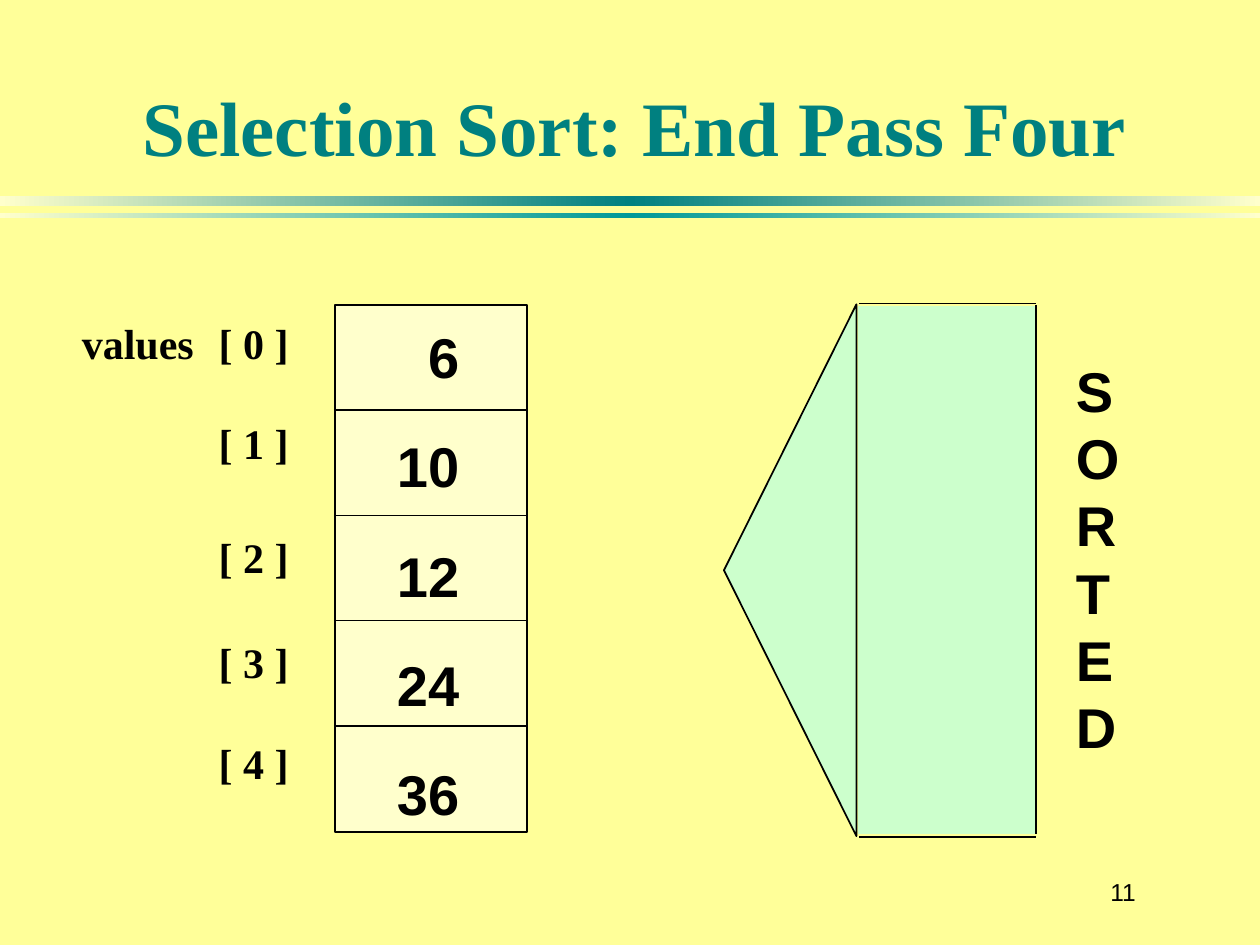
from copy import deepcopy
from dataclasses import dataclass

from pptx import Presentation
from pptx.dml.color import RGBColor
from pptx.enum.shapes import MSO_CONNECTOR, MSO_SHAPE
from pptx.enum.text import MSO_ANCHOR, PP_ALIGN
from pptx.oxml.ns import qn
from pptx.oxml.xmlchemy import OxmlElement
from pptx.util import Cm, Pt

RECT = MSO_SHAPE.RECTANGLE
TRIANGLE = MSO_SHAPE.ISOSCELES_TRIANGLE
STRAIGHT = MSO_CONNECTOR.STRAIGHT
TOP, MIDDLE, BOTTOM = MSO_ANCHOR.TOP, MSO_ANCHOR.MIDDLE, MSO_ANCHOR.BOTTOM
LEFT, CENTER, RIGHT = PP_ALIGN.LEFT, PP_ALIGN.CENTER, PP_ALIGN.RIGHT


@dataclass(frozen=True)
class Theme:
    background: str = "FFFF99"
    ink: str = "000000"
    title: str = "008080"
    bar_edge: str = "FFFFCC"
    bar_thin: str = "009999"
    cell: str = "FFFFCC"
    sorted_part: str = "CCFFCC"
    serif: str = "Times New Roman"
    sans: str = "Arial"
    title_size: int = 44
    value_size: int = 32
    label_size: int = 24
    number_size: int = 14
    leading: float = 1.2
    line: int = 1


def rgb(color):
    return RGBColor.from_string(color)


class SlideBuilder:
    def __init__(self, prs, theme):
        self.theme = theme
        self.slide = prs.slides.add_slide(prs.slide_layouts[6])
        fill = self.slide.background.fill
        fill.solid()
        fill.fore_color.rgb = rgb(theme.background)

    def shape(self, kind, x, y, w, h, color, outline=True, rotation=0):
        s = self.slide.shapes.add_shape(kind, Cm(x), Cm(y), Cm(w), Cm(h))
        s.shadow.inherit = False
        s.rotation = rotation
        s.fill.solid()
        s.fill.fore_color.rgb = rgb(color)
        if outline:
            s.line.color.rgb = rgb(self.theme.ink)
            s.line.width = Pt(self.theme.line)
        else:
            s.line.fill.background()
        return s

    def gradient_bar(self, y, h, color):
        edge = self.theme.bar_edge
        s = self.shape(RECT, 0, y, 25.4, h, edge, outline=False)
        s.fill.gradient()
        s.fill.gradient_angle = 0
        first = s._element.spPr.find(".//" + qn("a:gs"))
        first.addnext(deepcopy(first))
        colors = (edge, color, edge)
        for stop, position, c in zip(s.fill.gradient_stops, (0, 0.5, 1), colors):
            stop.position = position
            stop.color.rgb = rgb(c)

    def line(self, x1, y1, x2, y2):
        s = self.slide.shapes.add_connector(STRAIGHT, Cm(x1), Cm(y1), Cm(x2), Cm(y2))
        s.line.color.rgb = rgb(self.theme.ink)
        s.line.width = Pt(self.theme.line)
        s._element.spPr.append(OxmlElement("a:effectLst"))

    def text(self, lines, x, y, w, h, *, size, font, color=None, bold=True,
             align=LEFT, anchor=TOP, gaps=None, tab=None):
        s = self.slide.shapes.add_textbox(Cm(x), Cm(y), Cm(w), Cm(h))
        tf = s.text_frame
        tf.word_wrap = True
        tf.vertical_anchor = anchor
        tf.text = "\n".join(lines)
        for p, gap in zip(tf.paragraphs, gaps or [0] * len(lines)):
            p.alignment = align
            p.line_spacing = Pt(size * self.theme.leading)
            p.space_before = Pt(gap)
            if tab:
                tabs = OxmlElement("a:tabLst")
                stop = OxmlElement("a:tab")
                stop.set("pos", str(Cm(tab)))
                stop.set("algn", "l")
                tabs.append(stop)
                p._p.get_or_add_pPr().append(tabs)
            for r in p.runs:
                r.font.size = Pt(size)
                r.font.name = font
                r.font.bold = bold
                r.font.color.rgb = rgb(color or self.theme.ink)


def main():
    prs = Presentation()
    prs.slide_width, prs.slide_height = Cm(25.4), Cm(19.05)
    t = Theme()
    b = SlideBuilder(prs, t)

    b.gradient_bar(3.96, 0.2, t.title)
    b.gradient_bar(4.29, 0.1, t.bar_thin)
    b.text(["Selection Sort: End Pass Four"], 2.54, 0.41, 20.52, 3.18,
           size=t.title_size, font=t.serif, color=t.title, align=CENTER, anchor=BOTTOM)

    labels = [f"{'values' if i == 0 else ''}\t[ {i} ]" for i in range(5)]
    b.text(labels, 1.4, 6.27, 5.2, 9.73, size=t.label_size, font=t.serif,
           gaps=(0, 28.8, 36, 31.2, 28.8), tab=2.76)

    top, row = 6.15, 2.12
    b.shape(RECT, 6.76, top, 3.86, 10.62, t.cell)
    for i in range(1, 5):
        y = top + i * row
        b.line(6.73, y, 10.64, y)
    b.text(["6", "10", "12", "24", "36"], 7.48, 6.38, 2.03, 10.41,
           size=t.value_size, font=t.sans, align=RIGHT, gaps=(0, 24, 24, 24, 24))

    b.shape(TRIANGLE, 10.57, 10.16, 10.72, 2.67, t.sorted_part, rotation=270)
    b.shape(RECT, 17.3, 6.17, 3.58, 10.64, t.sorted_part, outline=False)
    for y in (6.12, 16.87):
        b.line(17.32, y, 20.88, y)
    b.line(20.88, 6.15, 20.88, 16.81)
    b.text(list("SORTED"), 21.44, 7.06, 1.5, 8.38, size=t.value_size, font=t.sans)

    b.text(["11"], 21.79, 17.35, 1.7, 1.27, size=t.number_size, font=t.sans,
           bold=False, align=CENTER, anchor=MIDDLE)
    prs.save("out.pptx")


if __name__ == "__main__":
    main()
